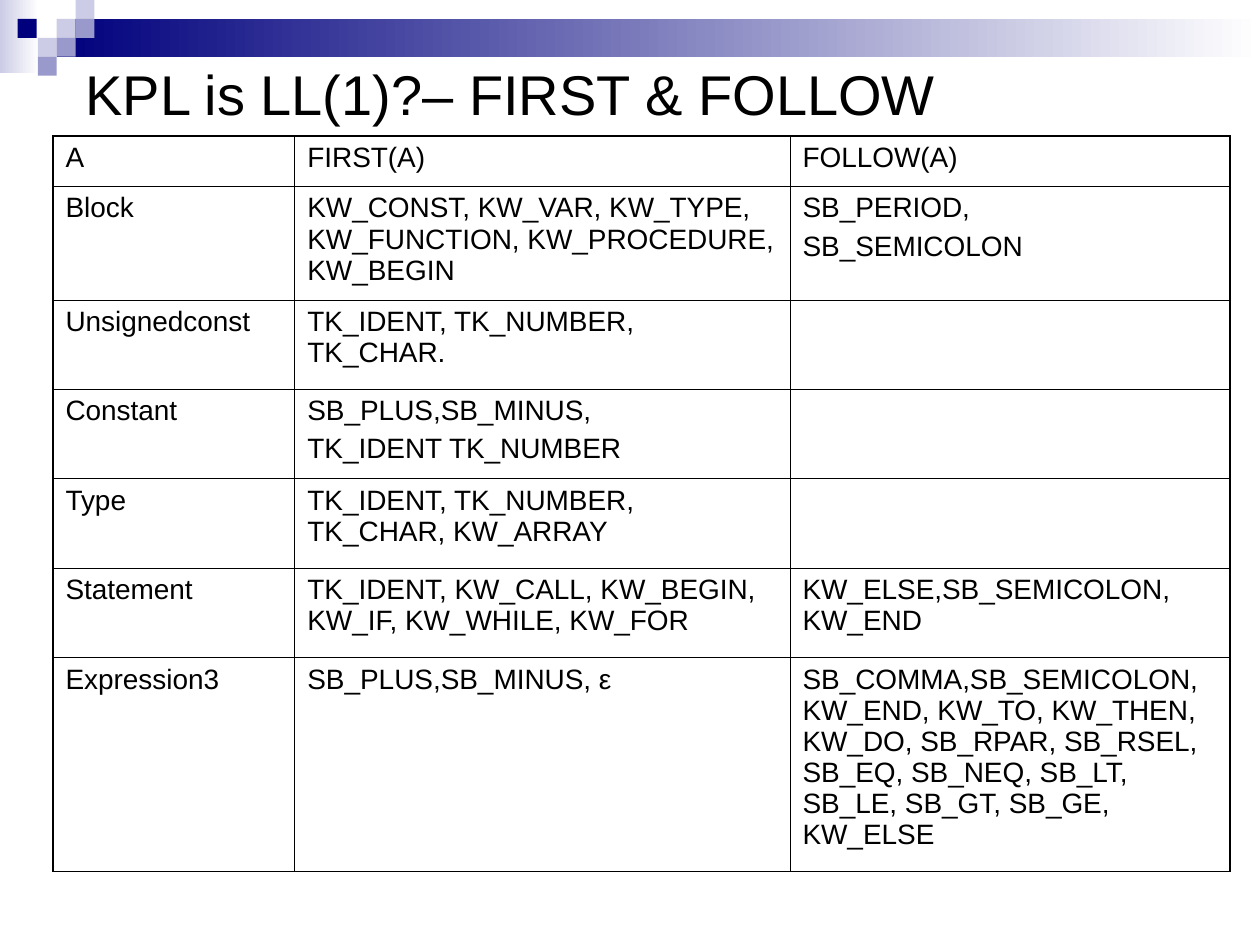
import pptx
import pptx.dml.color
import pptx.enum.shapes
import pptx.enum.text
import pptx.oxml
import pptx.oxml.ns
import pptx.util
from pptx.util import Inches

FONT = "Arial"
BLACK, WHITE = "000000", "FFFFFF"
NAVY, LAVENDER, VIOLET = "00007D", "CCCCE6", "9999CC"
THIN, THICK = 0.45, 1.08

COLUMN_WIDTHS = [1.92, 3.93, 3.49]
ROW_HEIGHTS = [0.4, 0.9, 0.71, 0.71, 0.71, 0.71, 1.7]
# Each line break starts a new paragraph
SETS = [
    ("A", "FIRST(A)", "FOLLOW(A)"),
    ("Block", "KW_CONST, KW_VAR, KW_TYPE, KW_FUNCTION, KW_PROCEDURE, KW_BEGIN",
     "SB_PERIOD,\nSB_SEMICOLON"),
    ("Unsignedconst", "TK_IDENT, TK_NUMBER, TK_CHAR.", ""),
    ("Constant", "SB_PLUS,SB_MINUS,\nTK_IDENT TK_NUMBER", ""),
    ("Type", "TK_IDENT, TK_NUMBER, TK_CHAR, KW_ARRAY", ""),
    ("Statement", "TK_IDENT, KW_CALL, KW_BEGIN, KW_IF, KW_WHILE, KW_FOR",
     "KW_ELSE,SB_SEMICOLON, KW_END"),
    ("Expression3", "SB_PLUS,SB_MINUS, ε",
     "SB_COMMA,SB_SEMICOLON, KW_END, KW_TO, KW_THEN, KW_DO, SB_RPAR, SB_RSEL, "
     "SB_EQ, SB_NEQ, SB_LT, SB_LE, SB_GT, SB_GE,\nKW_ELSE"),
]
SQUARE = 0.15
SQUARES = [
    (0.45, 0.15, LAVENDER), (0.6, 0, LAVENDER), (0.6, 0.15, VIOLET),
    (0.3, 0.3, LAVENDER), (0.14, 0.15, NAVY), (0.45, 0.3, VIOLET),
    (0.3, 0.45, VIOLET),
]


def color(value):
    return pptx.dml.color.RGBColor.from_string(value)


def add_block(slide, left, top, width, height, start, end=None):
    """Add a borderless rectangle, fading to the end colour if one is given."""
    block = slide.shapes.add_shape(
        pptx.enum.shapes.MSO_SHAPE.RECTANGLE,
        Inches(left), Inches(top), Inches(width), Inches(height))
    block.shadow.inherit = False
    block.line.fill.background()
    if end:
        block.fill.gradient()
        block.fill.gradient_angle = 0
        for stop, value in zip(block.fill.gradient_stops, (start, end)):
            stop.color.rgb = color(value)
    else:
        block.fill.solid()
        block.fill.fore_color.rgb = color(start)


def write(frame, text, size, space_before=0):
    for index, line in enumerate(text.split("\n")):
        paragraph = frame.paragraphs[0] if index == 0 else frame.add_paragraph()
        paragraph.space_before = pptx.util.Pt(space_before)
        if not line:
            paragraph.font.size = pptx.util.Pt(size)
            continue
        run = paragraph.add_run()
        run.text = line
        run.font.name = FONT
        run.font.size = pptx.util.Pt(size)
        run.font.color.rgb = color(BLACK)


def set_borders(cell, **widths):
    properties = cell._tc.get_or_add_tcPr()
    for index, side in enumerate("LRTB"):
        properties.insert(index, pptx.oxml.parse_xml(
            f'<a:ln{side} {pptx.oxml.ns.nsdecls("a")} w="{pptx.util.Pt(widths[side])}">'
            f'<a:solidFill><a:srgbClr val="{BLACK}"/></a:solidFill></a:ln{side}>'))


def add_sets_table(slide):
    table = slide.shapes.add_table(
        len(SETS), len(COLUMN_WIDTHS), Inches(0.42), Inches(1.08),
        Inches(sum(COLUMN_WIDTHS)), Inches(sum(ROW_HEIGHTS))).table
    table.first_row = table.horz_banding = False
    for column, width in zip(table.columns, COLUMN_WIDTHS):
        column.width = Inches(width)
    last_column = len(COLUMN_WIDTHS) - 1
    for r, (height, texts) in enumerate(zip(ROW_HEIGHTS, SETS)):
        table.rows[r].height = Inches(height)
        for c, text in enumerate(texts):
            cell = table.cell(r, c)
            cell.fill.background()
            set_borders(cell, L=THICK if c == 0 else THIN,
                        R=THICK if c == last_column else THIN,
                        T=THICK if r == 0 else THIN, B=THIN)
            # The long last FOLLOW set runs on without a gap
            tight = r == len(SETS) - 1 and c == last_column
            write(cell.text_frame, text, 16, 0 if tight else 4)


def add_title(slide, text):
    frame = slide.shapes.add_textbox(
        Inches(0.58), Inches(0.42), Inches(9.08), Inches(0.64)).text_frame
    frame.word_wrap = True
    frame.auto_size = pptx.enum.text.MSO_AUTO_SIZE.SHAPE_TO_FIT_TEXT
    write(frame, text, 32, 20)


def main():
    deck = pptx.Presentation()
    deck.slide_width, deck.slide_height = Inches(10), Inches(7.5)
    slide = deck.slides.add_slide(deck.slide_layouts[6])

    # Header band and squares
    add_block(slide, 0, 0, 0.31, 0.58, LAVENDER, WHITE)
    add_block(slide, 0.45, 0.15, 9.55, 0.3, NAVY, WHITE)
    for left, top, fill in SQUARES:
        add_block(slide, left, top, SQUARE, SQUARE, fill)

    # Content
    add_sets_table(slide)
    add_title(slide, "KPL is LL(1)?– FIRST & FOLLOW")
    deck.save("out.pptx")


if __name__ == "__main__":
    main()
